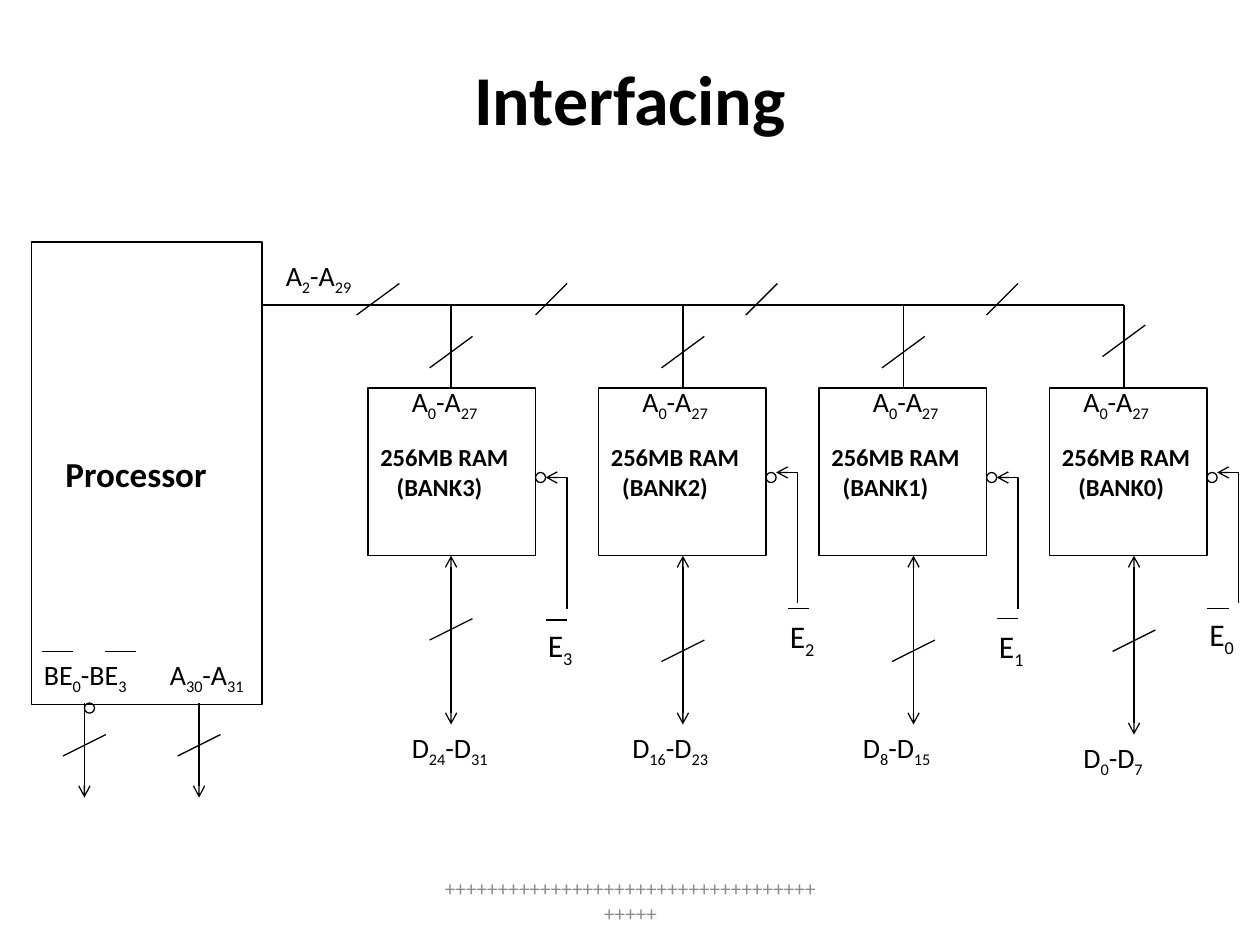
import pptx
import pptx.util
import pptx.dml.color
import pptx.enum.shapes
import pptx.enum.text
import pptx.oxml.ns
import lxml.etree

Inches = pptx.util.Inches
Pt = pptx.util.Pt
Kind = pptx.enum.shapes.MSO_SHAPE
Link = pptx.enum.shapes.MSO_CONNECTOR
Anchor = pptx.enum.text.MSO_ANCHOR
Align = pptx.enum.text.PP_ALIGN
qn = pptx.oxml.ns.qn

BLACK, GREY = "000000", "8C8C8C"
BUS_Y, BANK_TOP, BANK_HEIGHT = 2.42, 3.08, 1.33
TICK = 0.17
CPU_NAME = "Processor"
BANKS = [
    dict(name="(BANK3)", left=2.92, width=1.33, indent=0.13, bus=3.58, bus_tick=2.92,
         address=3.17, enable="E|3", enable_at=(4.25, 4.92), bar=4.92, enable_y=3.79,
         data="D|24|-D|31", data_x=3.58, data_end=5.75, data_left=3.17, data_tick=5.08),
    dict(name="(BANK2)", left=4.75, width=1.33, indent=0.09, bus=5.42, bus_tick=2.92,
         address=5, enable="E|2", enable_at=(6.17, 4.85), bar=4.83, enable_y=3.75,
         data="D|16|-D|23", data_x=5.42, data_end=5.75, data_left=4.92, data_tick=5.25),
    dict(name="(BANK1)", left=6.5, width=1.33, indent=0.09, bus=7.17, bus_tick=2.92,
         address=6.83, enable="E|1", enable_at=(7.83, 4.93), bar=4.91, enable_y=3.79,
         data="D|8|-D|15", data_x=7.25, data_end=5.75, data_left=6.75, data_tick=5.25),
    dict(name="(BANK0)", left=8.33, width=1.25, indent=0.13, bus=8.92, bus_tick=2.83,
         address=8.5, enable="E|0", enable_at=(9.5, 4.83), bar=4.83, enable_y=3.75,
         data="D|0|-D|7", data_x=9, data_end=5.83, data_left=8.5, data_tick=5.17),
]
BUS_TICKS = [(2.83, 3.17), (4.25, 4.5), (5.92, 6.17), (7.83, 8.08)]
CPU_LABELS = [("A|2|-A|29", 2.17, 2, 0.83), ("BE|0|-BE|3", 0.25, 5.17, 1.33),
              ("A|30|-A|31", 1.25, 5.17, 0.92)]
CPU_OUTPUTS = [0.67, 1.58]
CPU_BARS = [0.33, 0.83]


def color(value):
    """Turn a hex string into a colour."""
    return pptx.dml.color.RGBColor.from_string(value)


def style(para, size, bold=False, ink=BLACK):
    """Format every run of a paragraph."""
    for span in para.runs:
        span.font.name, span.font.size, span.font.bold = "Calibri", Pt(size), bold
        span.font.color.rgb = color(ink)


def outline(item):
    """Give a shape or connector the thin black line."""
    item.line.color.rgb = color(BLACK)
    item.line.width = Pt(0.75)


def add_text(left, top, width, height, anchor=Anchor.TOP):
    """Add an empty wrapping text box and return its frame."""
    frame = page.shapes.add_textbox(*map(Inches, (left, top, width, height))).text_frame
    frame.word_wrap = True
    frame.vertical_anchor = anchor
    return frame


def add_caption(text, left, top, width, height, size, bold, ink):
    """Add a centred caption."""
    frame = add_text(left, top, width, height, Anchor.MIDDLE)
    frame.text = text
    frame.paragraphs[0].alignment = Align.CENTER
    style(frame.paragraphs[0], size, bold, ink)


def add_signal(text, left, top, width, height=0.37, size=16):
    """Add a signal name whose every second part is a subscript."""
    para = add_text(left, top, width, height).paragraphs[0]
    for index, part in enumerate(text.split("|")):
        span = para.add_run()
        span.text = part
        if index % 2:
            span._r.get_or_add_rPr().set("baseline", "-25000")
    style(para, size)


def add_box(kind, left, top, width, height):
    """Add an unfilled outlined shape."""
    box = page.shapes.add_shape(kind, *map(Inches, (left, top, width, height)))
    box.shadow.inherit = False
    box.fill.background()
    outline(box)
    return box


def add_block(left, top, width, height, lines, size, inset, indent=0):
    """Add a labelled block, later lines indented."""
    box = add_box(Kind.RECTANGLE, left, top, width, height)
    frame = box.text_frame
    frame.word_wrap = True
    frame.vertical_anchor = Anchor.MIDDLE
    frame.margin_left, frame.margin_right = Inches(inset), 0
    frame.text = "\n".join(lines)
    for index, para in enumerate(frame.paragraphs):
        para.alignment = Align.LEFT
        style(para, size, True)
        if index:
            para._p.get_or_add_pPr().set("marL", str(Inches(indent)))


def add_line(x1, y1, x2, y2, ends=(), kind=Link.STRAIGHT):
    """Add a connector with open arrowheads at the named ends."""
    line = page.shapes.add_connector(kind, *map(Inches, (x1, y1, x2, y2)))
    outline(line)
    lxml.etree.SubElement(line._element.spPr, qn("a:effectLst"))
    for end in ends:
        lxml.etree.SubElement(line.line._get_or_add_ln(), qn("a:" + end)).set("type", "arrow")
    return line


def add_tick(x, bottom, rise):
    """Add the slanted bus mark centred on x."""
    add_line(x - TICK, bottom, x + TICK, bottom - rise)


def add_elbow(x, bottom, top, run):
    """Add an arrow that rises at x, then turns left."""
    rise = bottom - top
    left, upper = x - run / 2 - rise / 2, (top + bottom) / 2 - run / 2
    line = add_line(left, upper, left + rise, upper + run, ["tailEnd"], Link.ELBOW)
    shape = line._element.spPr
    shape.find(qn("a:prstGeom")).set("prst", "bentConnector2")
    frame = shape.find(qn("a:xfrm"))
    frame.set("rot", str(270 * 60000))
    frame.set("flipV", "1")


deck = pptx.Presentation()
deck.slide_width, deck.slide_height = Inches(10), Inches(7.5)
page = deck.slides.add_slide(deck.slide_layouts[6])

add_caption("Interfacing", 0.5, 0.3, 9, 0.95, 40, True, BLACK)
add_caption("+" * 40, 3.42, 6.95, 3.17, 0.4, 12, False, GREY)
add_block(0.25, 1.92, 1.83, 3.67, [CPU_NAME], 20, 0.27)
add_line(2.08, BUS_Y, BANKS[-1]["bus"], BUS_Y)
for start, end in BUS_TICKS:
    add_line(start, 2.5, end, 2.25)

for bank in BANKS:
    right = bank["left"] + bank["width"]
    bottom = BANK_TOP + BANK_HEIGHT
    add_block(bank["left"], BANK_TOP, bank["width"], BANK_HEIGHT,
              ["256MB RAM", bank["name"]], 14, 0.1, bank["indent"])
    add_line(bank["bus"], BUS_Y, bank["bus"], BANK_TOP)
    add_tick(bank["bus"], bank["bus_tick"], 0.25)
    add_signal("A|0|-A|27", bank["address"], 3, 0.83)
    add_box(Kind.OVAL, right, 3.75, 0.08, 0.08)
    add_elbow(right + 0.25, bank["enable_y"] + 1.04, bank["enable_y"], 0.17)
    x, y = bank["enable_at"]
    add_signal(bank["enable"], x, y, 0.5, 0.4, 18)
    add_line(x + 0.08, bank["bar"], x + 0.25, bank["bar"])
    add_line(bank["data_x"], bottom, bank["data_x"], bank["data_end"], ["headEnd", "tailEnd"])
    add_tick(bank["data_x"], bank["data_tick"], 0.17)
    add_signal(bank["data"], bank["data_left"], bank["data_end"], 1.08)

for label in CPU_LABELS:
    add_signal(*label)
for x in CPU_OUTPUTS:
    add_line(x, 5.58, x, 6.33, ["tailEnd"])
    add_tick(x, 6, 0.17)
for x in CPU_BARS:
    add_line(x, 5.17, x + 0.25, 5.17)
add_box(Kind.OVAL, 0.67, 5.58, 0.08, 0.08)

deck.save("out.pptx")
